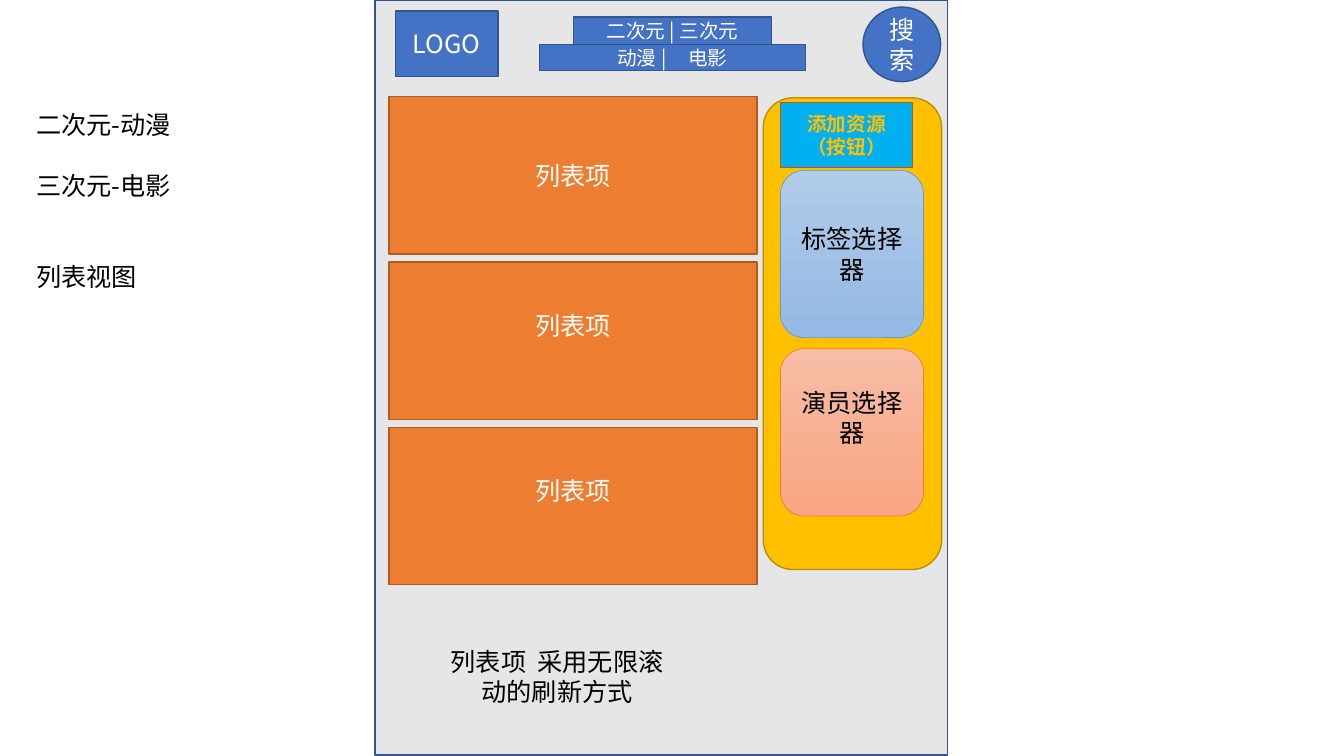
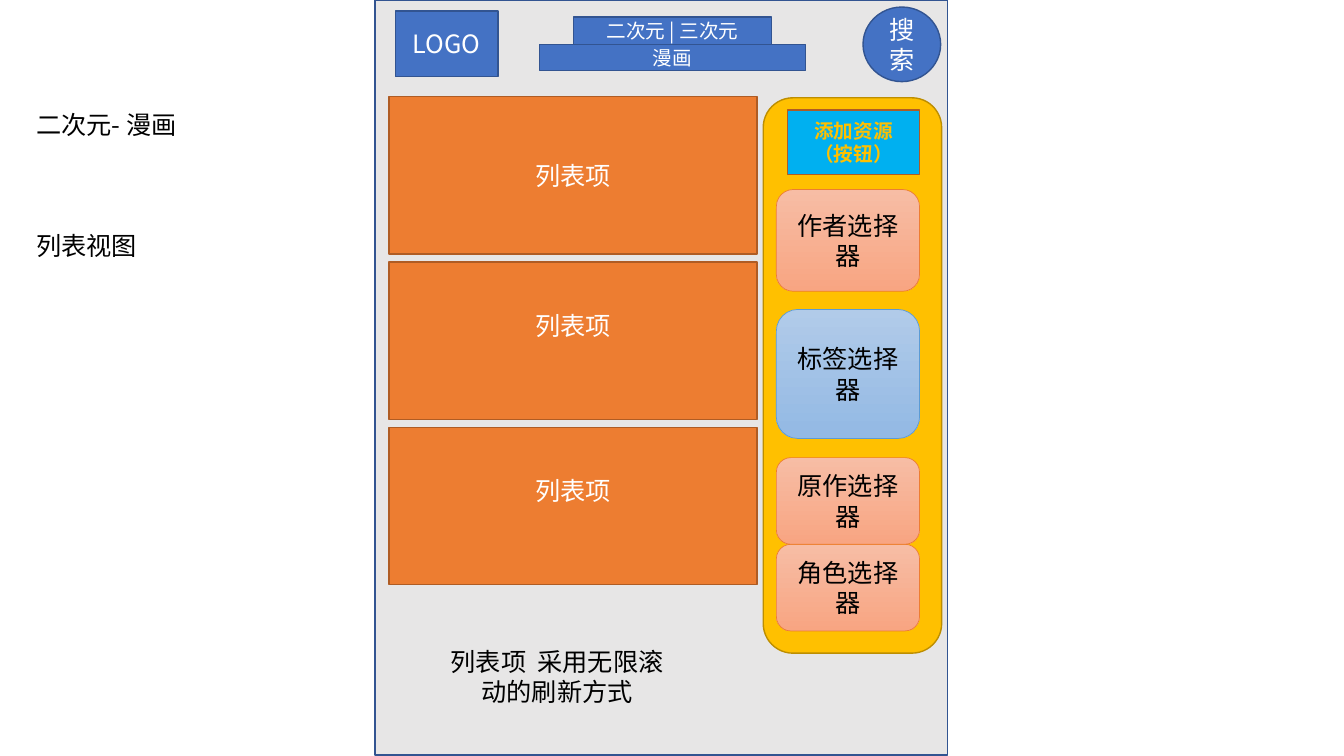
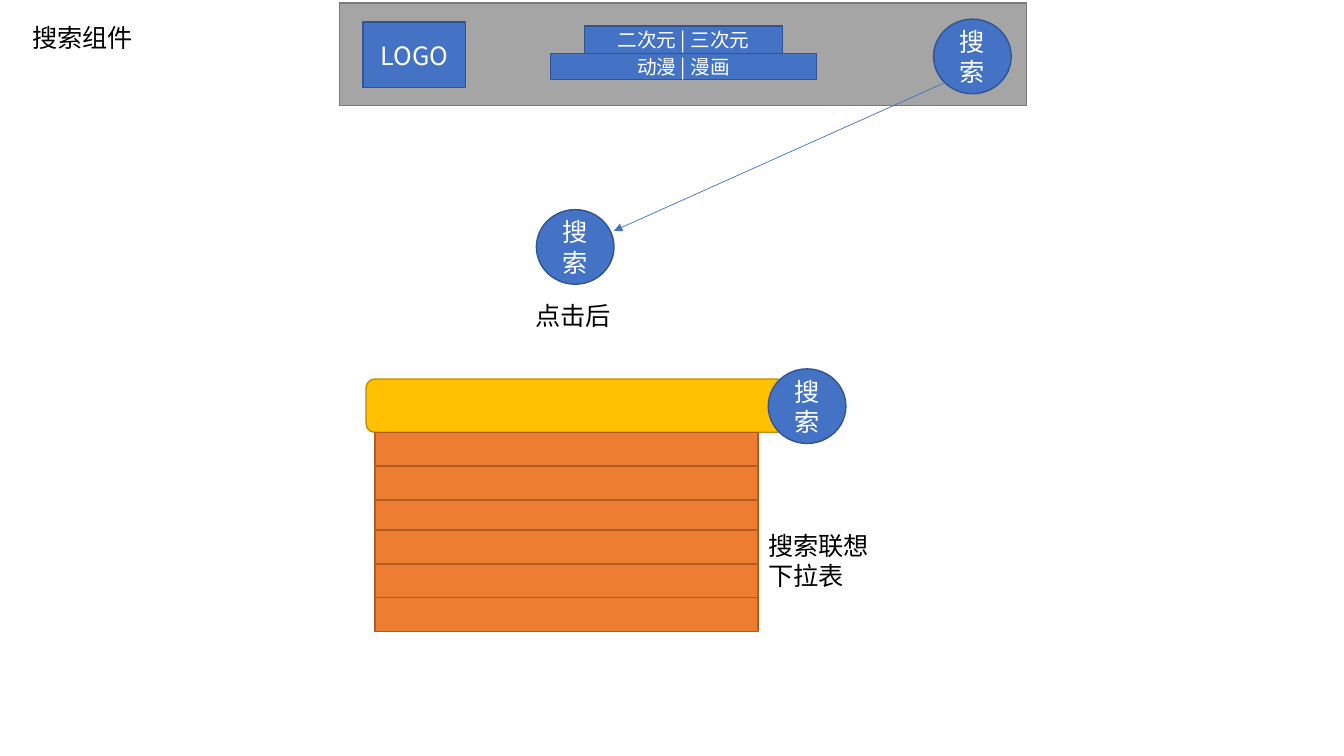
"""Build three wireframe slides: two list views and the search widget."""
from dataclasses import dataclass, field
from typing import Any, NamedTuple

import lxml.etree
import pptx
import pptx.dml.color
import pptx.enum.shapes
import pptx.enum.text
import pptx.oxml.ns
import pptx.util

CELL = pptx.util.Inches(0.1)
KIND = pptx.enum.shapes.MSO_SHAPE
ALIGN = pptx.enum.text.PP_ALIGN
MIDDLE = pptx.enum.text.MSO_ANCHOR.MIDDLE
GROW = pptx.enum.text.MSO_AUTO_SIZE.SHAPE_TO_FIT_TEXT


class Area(NamedTuple):
    left: float
    top: float
    width: float
    height: float


class Line(NamedTuple):
    text: str
    skip: int = 0


@dataclass(frozen=True)
class Style:
    fill: tuple[str, ...]
    edge: str
    kind: Any = KIND.RECTANGLE
    width: float = 1
    ink: str = "FFFFFF"
    font: str = "body"


@dataclass(frozen=True)
class Theme:
    face: str = "Noto Sans CJK SC"
    ink: str = "000000"
    arrow: str = "4472C4"
    thin: float = 0.5
    pitch: float = 21.6
    fonts: dict[str, dict[str, Any]] = field(default_factory=lambda: {
        "body": {"size": pptx.util.Pt(18)},
        "small": {"size": pptx.util.Pt(14)},
        "strong": {"size": pptx.util.Pt(14), "bold": True},
    })
    page: Style = Style(("E7E6E6",), "325491")
    bar: Style = Style(("A5A5A5",), "7A7A7A")
    logo: Style = Style(("4472C4",), "325491")
    find: Style = Style(("4472C4",), "325491", KIND.OVAL)
    tab: Style = Style(("4472C4",), "325491", font="small")
    item: Style = Style(("ED7D31",), "AF5C24")
    panel: Style = Style(("FFC000",), "BD8E00", KIND.ROUNDED_RECTANGLE)
    button: Style = Style(("00B0F0",), "AF5C24", ink="FFC000", font="strong")
    blue: Style = Style(("B1CBE9", "93B9E4"), "5B9BD5", KIND.ROUNDED_RECTANGLE, 0.5, "000000")
    pink: Style = Style(("F7BDA5", "F8A582"), "ED7D31", KIND.ROUNDED_RECTANGLE, 0.5, "000000")


THEME = Theme()


class Box(NamedTuple):
    area: Area
    style: Style
    text: str = ""
    gap: float = 0
    lift: float = 0


def apply(target: Any, values: dict[str, Any]) -> None:
    """Set each named format value on the target."""
    for name, value in values.items():
        setattr(target, name, value)


def tint(code: str) -> pptx.dml.color.RGBColor:
    """Turn a hex code into a colour."""
    return pptx.dml.color.RGBColor.from_string(code)


def cells(*counts: float) -> list[int]:
    """Turn counts of grid cells into lengths."""
    return [round(count * CELL) for count in counts]


def write(para: Any, text: str, ink: str, font: str = "body", gap: float = 0) -> None:
    """Write text, widening the space at each tilde by the gap."""
    for index, part in enumerate(text.split("~")):
        for word, space in ([(" ", gap)] if index else []) + [(part, 0)]:
            run = para.add_run()
            run.text = word
            apply(run.font, {"name": THEME.face, **THEME.fonts[font]})
            run.font.color.rgb = tint(ink)
            props = run.font._element
            east = lxml.etree.SubElement(props, pptx.oxml.ns.qn("a:ea"))
            east.set("typeface", THEME.face)
            if space:
                props.set("spc", str(round(space * 100)))


def draw(slide: Any, box: Box) -> None:
    """Draw a filled shape with centred text."""
    style = box.style
    shape = slide.shapes.add_shape(style.kind, *cells(*box.area))
    shape.shadow.inherit = False
    if len(style.fill) > 1:
        shape.fill.gradient()
        shape.fill.gradient_angle = 270
        for stop, code in zip(shape.fill.gradient_stops, style.fill):
            stop.color.rgb = tint(code)
    else:
        shape.fill.solid()
        shape.fill.fore_color.rgb = tint(style.fill[0])
    shape.line.color.rgb = tint(style.edge)
    shape.line.width = pptx.util.Pt(style.width)
    if box.text:
        frame = shape.text_frame
        base = frame.margin_bottom
        apply(frame, {"word_wrap": True, "vertical_anchor": MIDDLE,
                      "margin_bottom": base + pptx.util.Pt(box.lift)})
        frame.paragraphs[0].alignment = ALIGN.CENTER
        write(frame.paragraphs[0], box.text, style.ink, style.font, box.gap)


def note(slide: Any, area: Area, *lines: Line, align: Any = ALIGN.LEFT, gap: float = 0) -> None:
    """Add a plain label, skipping rows before its lines."""
    frame = slide.shapes.add_textbox(*cells(*area)).text_frame
    apply(frame, {"word_wrap": True, "auto_size": GROW})
    for index, line in enumerate(lines):
        para = frame.add_paragraph() if index else frame.paragraphs[0]
        apply(para, {"alignment": align, "space_before": pptx.util.Pt(line.skip * THEME.pitch)})
        write(para, line.text, THEME.ink, gap=gap)


def search(slide: Any, left: float, top: float) -> None:
    """Draw the round search button."""
    draw(slide, Box(Area(left, top, 7.7, 7.4), THEME.find, "搜索"))


def header(slide: Any, logo: tuple[float, float], find: tuple[float, float],
           tabs: tuple[float, float], text: str, gap: float = 0) -> None:
    """Draw the logo, search button and two rows of tabs."""
    draw(slide, Box(Area(*logo, 10.2, 6.5), THEME.logo, "LOGO"))
    search(slide, *find)
    left, top = tabs
    draw(slide, Box(Area(left + 3.4, top - 2.7, 19.6, 2.7), THEME.tab, "二次元 | 三次元"))
    draw(slide, Box(Area(left, top, 26.4, 2.6), THEME.tab, text, gap))


def view(slide: Any, text: str, depth: float, lines: list[Line], boxes: list[Box],
         gap: float = 0) -> None:
    """Draw a list view with its side panel."""
    draw(slide, Box(Area(37.2, 0, 56.8, 74.9), THEME.page))
    header(slide, (39.2, 1.1), (85.6, 0.7), (53.5, 4.4), text, gap)
    for row in range(3):
        lift = THEME.pitch if row else 0
        draw(slide, Box(Area(38.6, 9.6 + 16.4 * row, 36.5, 15.6), THEME.item, "列表项", lift=lift))
    note(slide, Area(42.5, 63.6, 25.5, 7.1), Line("列表项~采用无限滚动的刷新方式"),
         align=ALIGN.CENTER, gap=4)
    draw(slide, Box(Area(75.7, 9.7, 17.7, depth), THEME.panel))
    rows = len(lines) + sum(line.skip for line in lines)
    note(slide, Area(2.6, 10.4, 29.2, 1 + 3 * rows), *lines)
    for box in boxes:
        draw(slide, box)


def button(left: float, top: float) -> Box:
    """Place the add button."""
    return Box(Area(left, top, 13.1, 6.4), THEME.button, "添加资源（按钮）")


def picker(left: float, top: float, height: float, style: Style, name: str,
           lift: float = 0) -> Box:
    """Place a picker in the side panel."""
    return Box(Area(left, top, 14.2, height), style, name + "选择器", lift=lift)


def arrow(slide: Any, start: tuple[float, float], end: tuple[float, float]) -> None:
    """Draw a thin straight arrow."""
    link = slide.shapes.add_connector(pptx.enum.shapes.MSO_CONNECTOR.STRAIGHT,
                                      *cells(*start, *end))
    link.line.color.rgb = tint(THEME.arrow)
    link.line.width = pptx.util.Pt(THEME.thin)
    edge = link.line._get_or_add_ln()
    lxml.etree.SubElement(edge, pptx.oxml.ns.qn("a:tailEnd")).set("type", "triangle")
    lxml.etree.SubElement(link._element.spPr, pptx.oxml.ns.qn("a:effectLst"))


def widget(slide: Any) -> None:
    """Draw the search widget and its drop-down list."""
    draw(slide, Box(Area(33.7, 0.3, 68.1, 10.2), THEME.bar))
    note(slide, Area(2.2, 1.7, 24.7, 4), Line("搜索组件"))
    header(slide, (36, 2.2), (92.6, 1.9), (54.6, 5.3), "动漫 | 漫画")
    arrow(slide, (93.7, 8.2), (60.9, 22.9))
    search(slide, 53.2, 20.8)
    note(slide, Area(52.1, 29.3, 13.8, 4), Line("点击后"))
    draw(slide, Box(Area(36.3, 37.6, 41.6, 5.3), THEME.panel))
    search(slide, 76.2, 36.6)
    for top in (42.9, 52.6):
        for row in range(3):
            draw(slide, Box(Area(37.2, top + 3.35 * row, 38, 3.35), THEME.item))
    note(slide, Area(75.2, 52.1, 13.8, 7.1), Line("搜索联想下拉表"))


def main() -> None:
    """Build and save the deck."""
    deck = pptx.Presentation()
    apply(deck, {"slide_width": pptx.util.Inches(13.33), "slide_height": pptx.util.Inches(7.5)})
    film, comic, finder = (deck.slides.add_slide(deck.slide_layouts[6]) for _ in range(3))
    view(film, "动漫 |~电影", 46.8,
         [Line("二次元-动漫"), Line("三次元-电影", 1), Line("列表视图", 2)],
         [picker(77.4, 16.9, 16.6, THEME.blue, "标签"),
          picker(77.4, 34.6, 16.6, THEME.pink, "演员", THEME.pitch),
          button(77.4, 10.2)], gap=12.5)
    view(comic, "漫画", 55.1,
         [Line("二次元- 漫画"), Line("列表视图", 3)],
         [picker(77, 30.7, 12.8, THEME.blue, "标签"),
          picker(77, 54, 8.6, THEME.pink, "角色"),
          picker(77, 45.4, 8.6, THEME.pink, "原作"),
          picker(77, 18.8, 10.1, THEME.pink, "作者"),
          button(78.1, 10.9)])
    widget(finder)
    deck.save("out.pptx")


if __name__ == "__main__":
    main()
